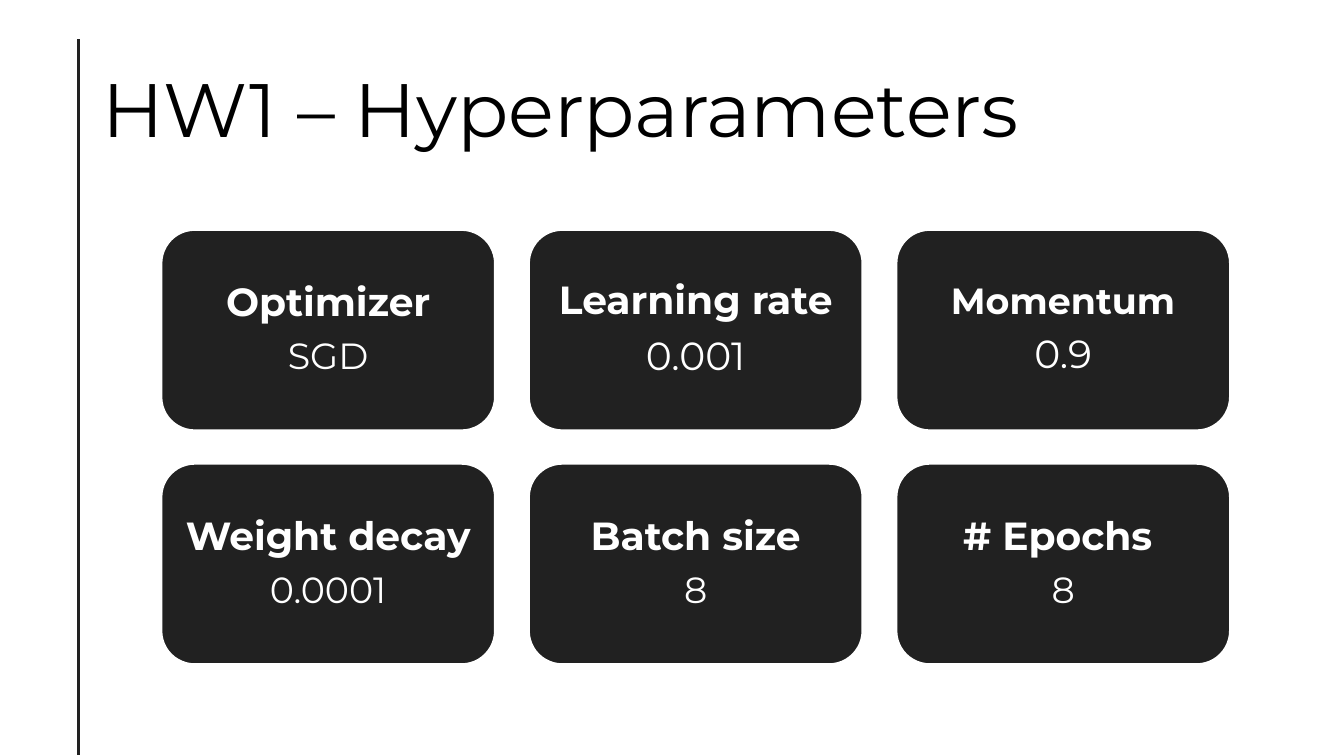
from dataclasses import dataclass

from lxml import etree
from pptx import Presentation
from pptx.dml.color import RGBColor
from pptx.enum.shapes import MSO_CONNECTOR, MSO_SHAPE
from pptx.enum.text import MSO_ANCHOR, MSO_AUTO_SIZE, PP_ALIGN
from pptx.oxml.ns import qn
from pptx.util import Inches, Pt

STRAIGHT = MSO_CONNECTOR.STRAIGHT
ROUNDED = MSO_SHAPE.ROUNDED_RECTANGLE
MIDDLE = MSO_ANCHOR.MIDDLE
NO_AUTOFIT = MSO_AUTO_SIZE.NONE
LEFT, CENTER = PP_ALIGN.LEFT, PP_ALIGN.CENTER


@dataclass(frozen=True)
class Theme:
    font: str = "Montserrat"
    ink: RGBColor = RGBColor(0x00, 0x00, 0x00)
    dark: RGBColor = RGBColor(0x21, 0x21, 0x21)
    light: RGBColor = RGBColor(0xFF, 0xFF, 0xFF)
    title: int = 54
    large: int = 28
    medium: int = 26


THEME = Theme()

# Name, name size, value, value size
HYPERPARAMETERS = [
    ("Optimizer", THEME.large, "SGD", THEME.medium),
    ("Learning rate", THEME.large, "0.001", THEME.large),
    ("Momentum", THEME.medium, "0.9", THEME.large),
    ("Weight decay", THEME.large, "0.0001", THEME.medium),
    ("Batch size", THEME.large, "8", THEME.medium),
    ("# Epochs ", THEME.large, "8", THEME.medium),
]

COLUMNS = 3
GRID_LEFT, GRID_TOP = 1.6, 2.28
CARD_WIDTH, CARD_HEIGHT = 3.31, 1.99
COLUMN_STEP, ROW_STEP = 3.645, 2.32


def format_paragraph(para, size, color, align, bold=False):
    para.alignment = align
    para.line_spacing = 0.9
    para.font.name = THEME.font
    para.font.size = Pt(size)
    para.font.bold = bold
    para.font.color.rgb = color


def set_title(page, text):
    title = page.shapes.title
    title.left, title.top = Inches(0.92), Inches(0.4)
    title.width, title.height = Inches(11.5), Inches(1.45)
    frame = title.text_frame
    frame.text = text
    frame.word_wrap = True
    frame.auto_size = NO_AUTOFIT
    frame.vertical_anchor = MIDDLE
    format_paragraph(frame.paragraphs[0], THEME.title, THEME.ink, LEFT)


def add_side_rule(page):
    x = Inches(0.78)
    rule = page.shapes.add_connector(STRAIGHT, x, Inches(0.39), x, Inches(7.49))
    rule.line.color.rgb = THEME.dark
    rule.line.width = Pt(2)
    etree.SubElement(rule._element.spPr, qn("a:effectLst"))


def add_card(page, left, top, name, name_size, value, value_size):
    card = page.shapes.add_shape(
        ROUNDED, Inches(left), Inches(top), Inches(CARD_WIDTH), Inches(CARD_HEIGHT)
    )
    card.shadow.inherit = False
    card.fill.solid()
    card.fill.fore_color.rgb = THEME.dark
    card.line.color.rgb = THEME.light
    card.line.width = Pt(1.5)

    frame = card.text_frame
    frame.word_wrap = True
    frame.vertical_anchor = MIDDLE
    frame.margin_left = frame.margin_right = Inches(0.12)
    frame.margin_top = frame.margin_bottom = Inches(0.12)
    name_para = frame.paragraphs[0]
    name_para.text = name
    format_paragraph(name_para, name_size, THEME.light, CENTER, bold=True)
    value_para = frame.add_paragraph()
    value_para.text = value
    format_paragraph(value_para, value_size, THEME.light, CENTER)
    value_para.space_before = Pt(0.35 * name_size)


def main():
    deck = Presentation()
    deck.slide_width, deck.slide_height = Inches(13.33), Inches(7.5)
    page = deck.slides.add_slide(deck.slide_layouts.get_by_name("Title Only"))

    add_side_rule(page)
    set_title(page, "HW1 – Hyperparameters")
    for index, hyperparameter in enumerate(HYPERPARAMETERS):
        row, column = divmod(index, COLUMNS)
        left = GRID_LEFT + column * COLUMN_STEP
        top = GRID_TOP + row * ROW_STEP
        add_card(page, left, top, *hyperparameter)

    deck.save("out.pptx")


if __name__ == "__main__":
    main()
